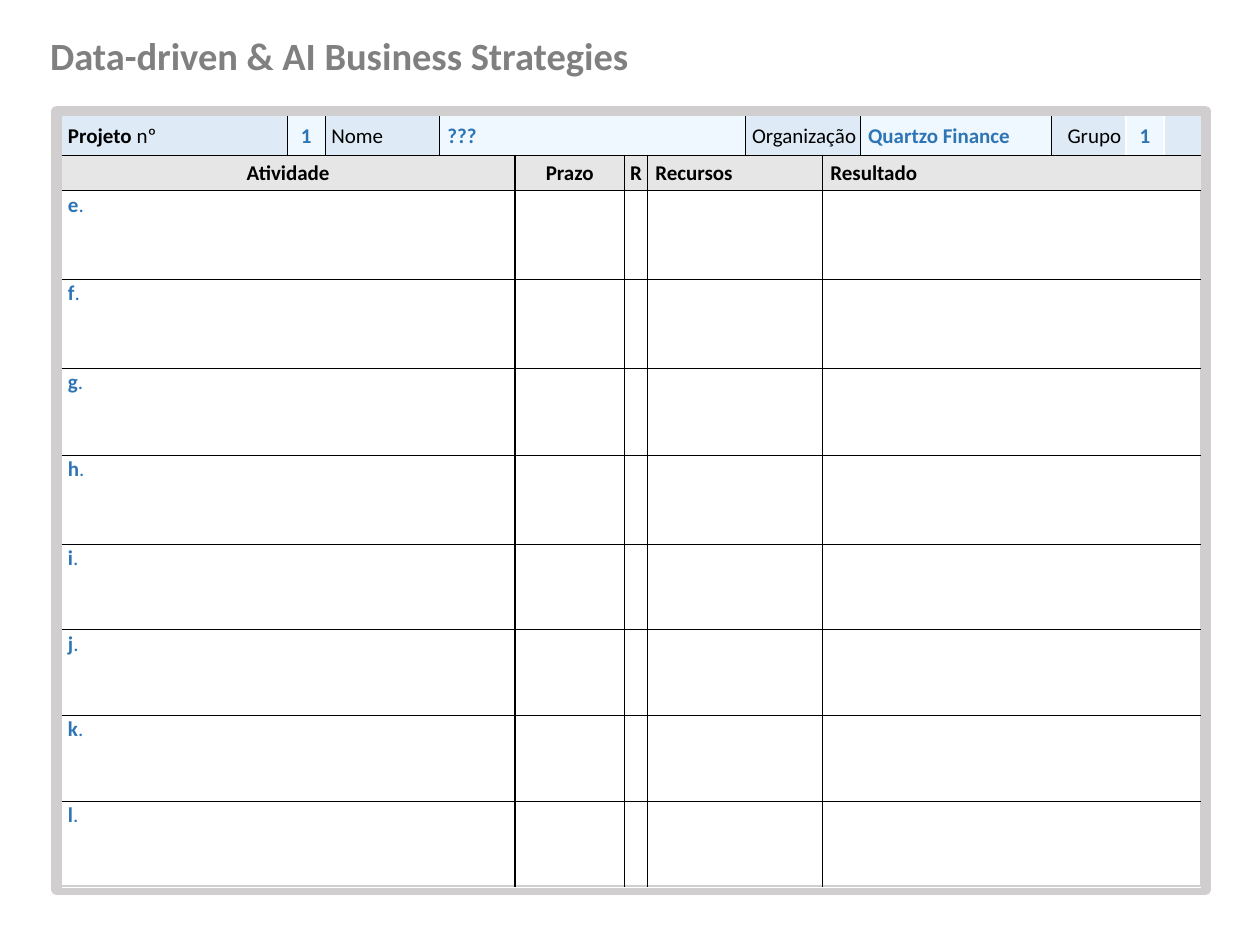
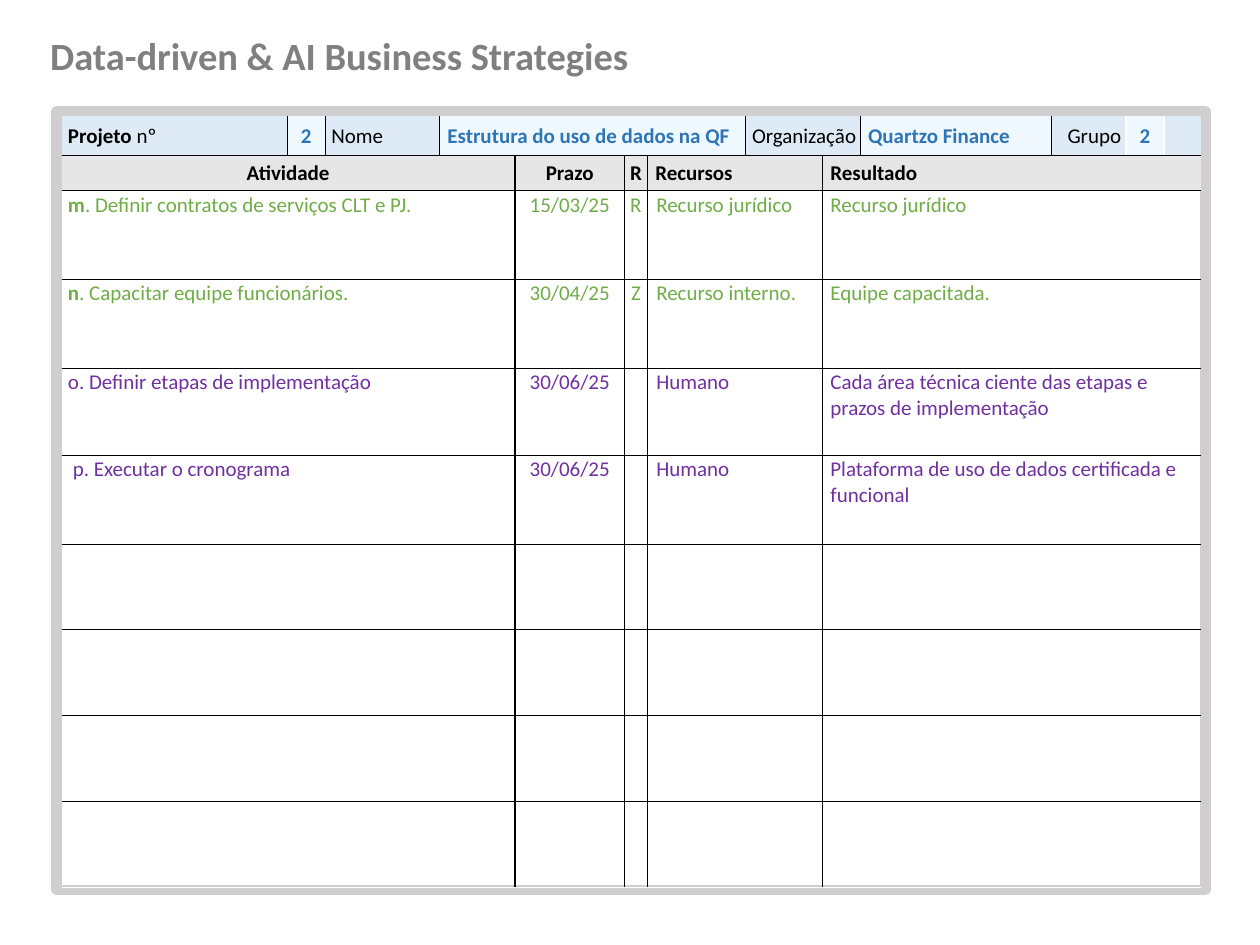
from dataclasses import dataclass

from lxml.etree import SubElement
from pptx import Presentation
from pptx.dml.color import RGBColor
from pptx.enum.shapes import MSO_SHAPE as Shape
from pptx.enum.text import MSO_ANCHOR as Anchor, MSO_AUTO_SIZE as AutoSize, PP_ALIGN as Align
from pptx.oxml.ns import qn
from pptx.util import Cm, Pt


@dataclass(frozen=True)
class Theme:
    font: str = "Calibri"
    title_size: float = 22
    body_size: float = 12
    title: str = "808080"
    frame: str = "D0CECE"
    label_fill: str = "DEEBF7"
    value_fill: str = "EFF7FF"
    heading_fill: str = "E7E6E6"
    black: str = "000000"
    white: str = "FFFFFF"
    blue: str = "2E75B6"
    green: str = "70AD47"
    purple: str = "7030A0"


THEME = Theme()
TITLE = "Data-driven & AI Business Strategies"
ORGANIZATION = "Quartzo Finance"
PLAIN_STYLE = "{2D5ABB26-0587-4C30-8999-92F81FD0307C}"

COLUMNS = [4.55, 0.76, 2.31, 1.52, 2.21, 0.46, 1.98, 1.55, 0.76, 3.86, 1.5, 0.76, 0.76]
ROWS = [0.71] * 2 + [1.79, 1.79, 1.75, 1.79] + [1.73] * 4
PROJECT_SPANS = [1, 1, 1, 4, 2, 1, 1, 1, 1]
ACTIVITY_SPANS = [4, 1, 1, 2, 5]

THIN = (THEME.black, 0.25)
THICK = (THEME.black, 1)
WHITE = (THEME.white, 1)
WHITE_THIN = (THEME.white, 0.25)
# Vertical rules from the left edge to the right edge of each kind of row
PROJECT_RULES = [None, THIN, THIN, THIN, THICK, THIN, THICK, WHITE, WHITE, None]
ACTIVITY_RULES = [None, THICK, THICK, THICK, THICK, None]


@dataclass(frozen=True)
class Entry:
    """Cell content; runs are (text, bold) pairs and indent is in centimetres."""
    runs: tuple = ()
    color: str = THEME.black
    fill: str | None = None
    align: Align = Align.LEFT
    indent: float = 0
    anchor: Anchor = Anchor.TOP


def label(*runs, indent=0.1):
    return Entry(runs, fill=THEME.label_fill, indent=indent, anchor=Anchor.MIDDLE)


def value(text, align=Align.LEFT):
    indent = 0.13 if align == Align.LEFT else 0
    return Entry(((text, True),), THEME.blue, THEME.value_fill, align, indent, Anchor.MIDDLE)


def heading(text, align=Align.CENTER):
    indent = 0.13 if align == Align.LEFT else 0
    return Entry(((text, True),), fill=THEME.heading_fill, align=align, indent=indent,
                 anchor=Anchor.MIDDLE)


def activity(color, task, deadline="", owner="", resource="", result="", indent=0.1):
    """Entries of one activity row; task is a tuple of (text, bold) pairs."""
    centered = [Entry(((text, False),), color, align=Align.CENTER) for text in (deadline, owner)]
    return [Entry(task, color, indent=indent), *centered,
            Entry(((resource, False),), color, indent=0.15),
            Entry(((result, False),), color, indent=0.13)]


class PlanDeck:
    def __init__(self, theme):
        self.theme = theme
        self.presentation = Presentation()
        self.presentation.slide_width = Cm(25.4)
        self.presentation.slide_height = Cm(19.05)
        self.slide = None

    def new_slide(self):
        self.slide = self.presentation.slides.add_slide(self.presentation.slide_layouts[6])
        self.frame()
        self.title(TITLE)

    def set_font(self, font, size, color, bold=None):
        font.name = self.theme.font
        font.size = Pt(size)
        font.bold = bold
        font.color.rgb = RGBColor.from_string(color)

    def frame(self):
        shape = self.slide.shapes.add_shape(
            Shape.RECTANGLE, Cm(1.14), Cm(2.24), Cm(23.16), Cm(15.7))
        shape.shadow.inherit = False
        shape.fill.background()
        shape.line.color.rgb = RGBColor.from_string(self.theme.frame)
        shape.line.width = Pt(6)

    def title(self, text):
        box = self.slide.shapes.add_textbox(Cm(0.76), Cm(0.53), Cm(13.13), Cm(1.19))
        box.text_frame.word_wrap = False
        box.text_frame.auto_size = AutoSize.SHAPE_TO_FIT_TEXT
        paragraph = box.text_frame.paragraphs[0]
        paragraph.text = text
        paragraph.space_after = Pt(2)
        self.set_font(paragraph.font, self.theme.title_size, self.theme.title, True)

    def table(self, project, headings, activities):
        graphic = self.slide.shapes.add_table(
            len(ROWS), len(COLUMNS), Cm(1.24), Cm(2.34), Cm(sum(COLUMNS)), Cm(sum(ROWS)))
        table = graphic.table
        table.first_row = table.horz_banding = False
        next(graphic._element.iter(qn("a:tableStyleId"))).text = PLAIN_STYLE
        for column, width in zip(table.columns, COLUMNS):
            column.width = Cm(width)
        for row, height in zip(table.rows, ROWS):
            row.height = Cm(height)

        horizontal = [None, THICK] + [THIN] * (len(ROWS) - 2) + [WHITE_THIN]
        for index, entries in enumerate([project, headings, *activities]):
            spans, rules = ((PROJECT_SPANS, PROJECT_RULES) if index == 0
                            else (ACTIVITY_SPANS, ACTIVITY_RULES))
            self.table_row(table, index, entries, spans, rules, horizontal[index:index + 2])

    def table_row(self, table, index, entries, spans, rules, top_bottom):
        start = 0
        for position, (entry, span) in enumerate(zip(entries, spans)):
            cells = [table.cell(index, start + offset) for offset in range(span)]
            if span > 1:
                cells[0].merge(cells[-1])
            for cell in cells:
                self.borders(cell, *rules[position:position + 2], *top_bottom)
            self.fill_cell(cells[0], entry)
            start += span

    def borders(self, cell, *edges):
        """Draw left, right, top and bottom edges, each a (colour, points) pair or None."""
        properties = cell._tc.get_or_add_tcPr()
        for side, edge in zip("LRTB", edges):
            line = SubElement(properties, qn(f"a:ln{side}"))
            if edge is None:
                SubElement(line, qn("a:noFill"))
                continue
            color, width = edge
            line.set("w", str(Pt(width)))
            fill = SubElement(line, qn("a:solidFill"))
            SubElement(fill, qn("a:srgbClr")).set("val", color)

    def fill_cell(self, cell, entry):
        cell.margin_left = cell.margin_right = cell.margin_top = Cm(0.03)
        cell.margin_bottom = 0
        cell.vertical_anchor = entry.anchor
        if entry.fill:
            cell.fill.solid()
            cell.fill.fore_color.rgb = RGBColor.from_string(entry.fill)
        else:
            cell.fill.background()
        paragraph = cell.text_frame.paragraphs[0]
        paragraph.alignment = entry.align
        self.set_font(paragraph.font, self.theme.body_size, entry.color)
        properties = paragraph._p.get_or_add_pPr()
        properties.set("marL", str(Cm(entry.indent)))
        properties.set("indent", "0")
        for text, bold in entry.runs:
            run = paragraph.add_run()
            run.text = text
            run.font.bold = bold

    def plan(self, number, name, activities):
        self.new_slide()
        project = [
            label(("Projeto ", True), ("nº", False)), value(number, Align.CENTER),
            label(("Nome", False)), value(name),
            label(("Organização", False)), value(ORGANIZATION),
            label(("Grupo", False), indent=0.29), value(number, Align.CENTER), label(("", False)),
        ]
        headings = [heading(text) for text in ("Atividade", "Prazo", "R")]
        headings += [heading(text, Align.LEFT) for text in ("Recursos", "Resultado")]
        self.table(project, headings, activities)


def main():
    deck = PlanDeck(THEME)
    deck.plan("1", "???", [
        activity(THEME.blue, ((letter, True), (".", False))) for letter in "efghijkl"])

    empty_row = activity(THEME.black, (("", False),))
    deck.plan("2", "Estrutura do uso de dados na QF", [
        activity(THEME.green, (("m", True), (". Definir contratos de serviços CLT e PJ.", False)),
                 "15/03/25", "R", "Recurso jurídico", "Recurso jurídico"),
        activity(THEME.green, (("n", True), (". Capacitar equipe funcionários.", False)),
                 "30/04/25", "Z", "Recurso interno.", "Equipe capacitada."),
        activity(THEME.purple, (("o. Definir etapas de implementação", False),),
                 "30/06/25", "", "Humano",
                 "Cada área técnica ciente das etapas e prazos de implementação"),
        activity(THEME.purple, (("p. Executar o cronograma", False),),
                 "30/06/25", "", "Humano",
                 "Plataforma de uso de dados certificada e funcional", indent=0.2),
        *[empty_row] * 4,
    ])
    deck.presentation.save("out.pptx")


if __name__ == "__main__":
    main()
